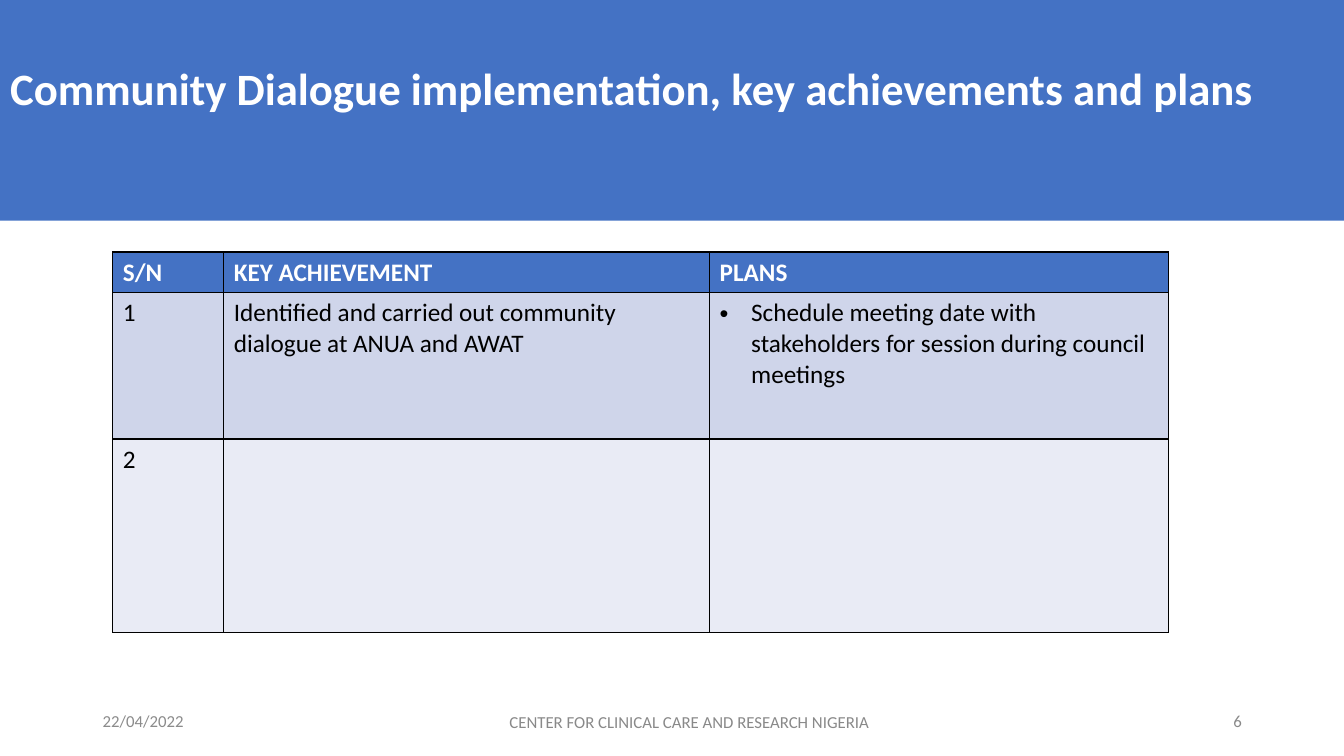
from lxml import etree
from pptx import Presentation
from pptx.dml.color import RGBColor
from pptx.enum import text as t
from pptx.oxml import ns
from pptx.util import Pt

TITLE = "Community Dialogue implementation, key achievements and plans"
FOOT = [
    ("22/04/2022", 66.24, 500.4, 216, "l", "8B8B8B"),
    ("6", 678.24, 500.4, 216, "r", "898989"),
    ("CENTER FOR CLINICAL CARE AND RESEARCH NIGERIA", 240.48, 501.12, 504, "c", "898989"),
]
ROWS = [
    ("S/N", "KEY ACHIEVEMENT", "PLANS"),
    ("1", "Identified and carried out community dialogue at ANUA and AWAT",
     "Schedule meeting date with stakeholders for session during council meetings"),
    ("2", "", ""),
]
BULLET = (1, 2)
FILLS = ["4472C4", "CFD5EA", "E9EBF5"]
WIDTHS = [79.2, 347.04, 327.6]
HEIGHTS = [29.2, 104.4, 138.24]
ALIGN = {"l": t.PP_ALIGN.LEFT, "c": t.PP_ALIGN.CENTER, "r": t.PP_ALIGN.RIGHT}


def paint(obj, color):
    obj.solid()
    obj.fore_color.rgb = RGBColor.from_string(color)


def write(frame, words, size=18, color="000000", bold=False, align="l", bullet=False):
    frame.word_wrap = True
    para = frame.paragraphs[0]
    para.alignment = ALIGN[align]
    para.line_spacing = 1.0
    if bullet:
        props = para._p.get_or_add_pPr()
        props.set("marL", str(Pt(22.5)))
        props.set("indent", str(-Pt(22.5)))
        etree.SubElement(props, ns.qn("a:buFont")).set("typeface", "Arial")
        etree.SubElement(props, ns.qn("a:buChar")).set("char", "•")
    run = para.add_run()
    run.text = words
    font = run.font
    font.name, font.size, font.bold = "Calibri", Pt(size), bold
    paint(font.fill, color)


def border(cell):
    props = cell._tc.get_or_add_tcPr()
    for i, side in enumerate(("lnL", "lnR", "lnT", "lnB")):
        line = etree.Element(ns.qn("a:" + side), w=str(Pt(1)))
        fill = etree.SubElement(line, ns.qn("a:solidFill"))
        etree.SubElement(fill, ns.qn("a:srgbClr")).set("val", "000000")
        props.insert(i, line)


def main():
    deck = Presentation()
    deck.slide_width, deck.slide_height = Pt(960), Pt(540)
    slide = deck.slides.add_slide(deck.slide_layouts[5])

    title = slide.shapes.title
    title.left, title.top, title.width, title.height = Pt(0), Pt(0), Pt(960), Pt(157.68)
    paint(title.fill, "4472C4")
    frame = title.text_frame
    frame.auto_size = t.MSO_AUTO_SIZE.NONE
    frame.vertical_anchor = t.MSO_ANCHOR.TOP
    frame.margin_top = Pt(43)
    write(frame, TITLE, size=32, color="FFFFFF", bold=True)

    for words, left, top, width, align, color in FOOT:
        box = slide.shapes.add_textbox(Pt(left), Pt(top), Pt(width), Pt(28.8))
        box.text_frame.vertical_anchor = t.MSO_ANCHOR.MIDDLE
        write(box.text_frame, words, size=12, color=color, align=align)

    table = slide.shapes.add_table(
        len(ROWS), len(WIDTHS), Pt(80.64), Pt(180),
        Pt(sum(WIDTHS)), Pt(sum(HEIGHTS))).table
    for col, width in zip(table.columns, WIDTHS):
        col.width = Pt(width)
    for r, (row, height) in enumerate(zip(ROWS, HEIGHTS)):
        table.rows[r].height = Pt(height)
        for c, words in enumerate(row):
            cell = table.cell(r, c)
            paint(cell.fill, FILLS[r])
            border(cell)
            if words:
                write(cell.text_frame, words, color="000000" if r else "FFFFFF",
                      bold=r == 0, bullet=(r, c) == BULLET)

    deck.save("out.pptx")


if __name__ == "__main__":
    main()
